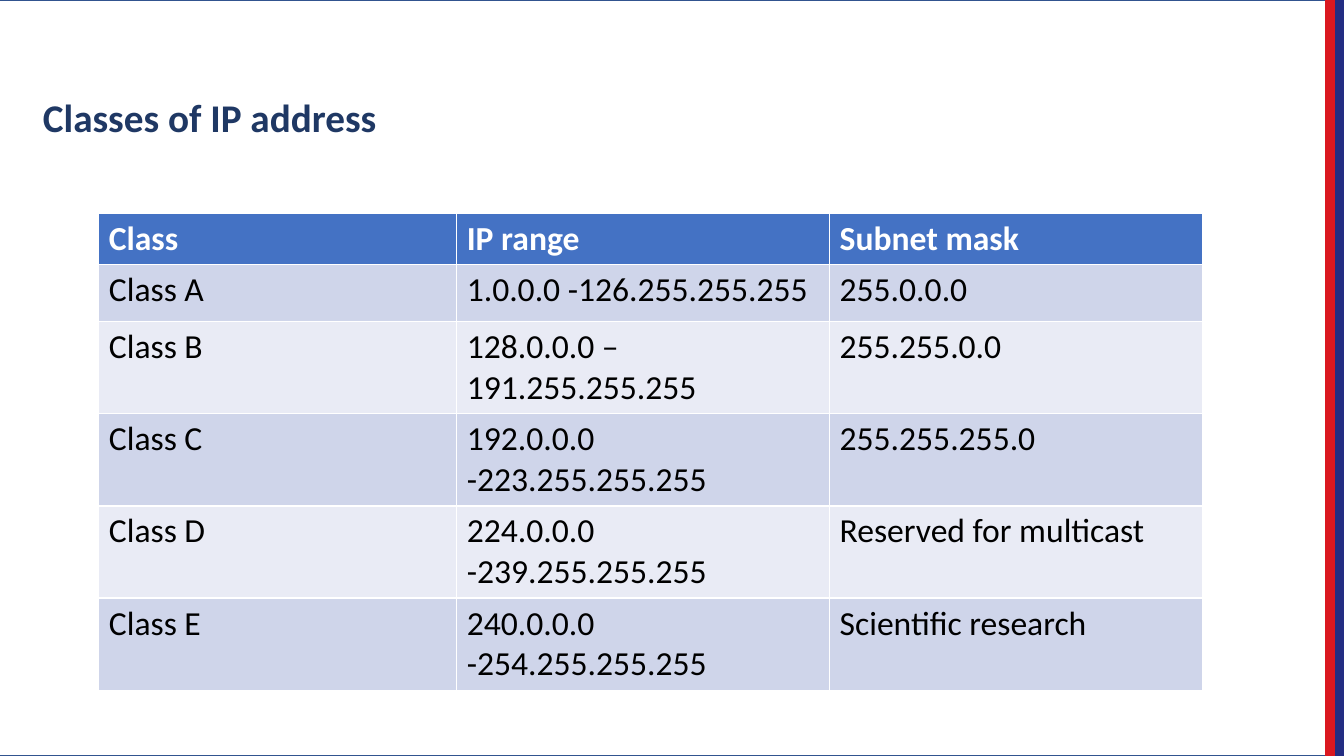
"""Build the slide that lists the classes of IP address."""
import pptx
import pptx.dml.color
import pptx.enum.shapes
import pptx.enum.text
import pptx.util

RGBColor = pptx.dml.color.RGBColor
WHITE = RGBColor(0xFF, 0xFF, 0xFF)
BLACK = RGBColor(0, 0, 0)
NAVY = RGBColor(0x1F, 0x38, 0x64)
OUTLINE = RGBColor(0x31, 0x53, 0x8F)
STRIPE_BLUE = RGBColor(0x23, 0x2D, 0x82)
STRIPE_RED = RGBColor(0xDA, 0x18, 0x20)
HEADER = RGBColor(0x44, 0x72, 0xC4)
BANDS = (RGBColor(0xE9, 0xEB, 0xF5), RGBColor(0xCF, 0xD5, 0xEA))

STRIPE = 0.68
COLUMNS = (26.63, 27.75, 27.75)
ROWS = (6.5, 7.6, 12, 12, 12, 12)
CLASSES = (
    ("Class", "IP range", "Subnet mask"),
    ("Class A", "1.0.0.0 -126.255.255.255", "255.0.0.0"),
    ("Class B", "128.0.0.0 – 191.255.255.255", "255.255.0.0"),
    ("Class C", "192.0.0.0 -223.255.255.255", "255.255.255.0"),
    ("Class D", "224.0.0.0 -239.255.255.255", "Reserved for multicast"),
    ("Class E", "240.0.0.0 -254.255.255.255", "Scientific research"),
)


class Deck:
    """Hold the style and current slide, with lengths in percent of its size."""

    def __init__(self):
        self.prs = pptx.Presentation()
        self.prs.slide_width = pptx.util.Inches(13.33)
        self.prs.slide_height = pptx.util.Inches(7.5)
        self.s = self.prs.slides.add_slide(self.prs.slide_layouts[5])

    def x(self, share):
        return int(self.prs.slide_width * share / 100)

    def y(self, share):
        return int(self.prs.slide_height * share / 100)

    def area(self, left, top, width, height):
        return self.x(left), self.y(top), self.x(width), self.y(height)

    def text(self, tf, text, size, color, bold):
        p = tf.paragraphs[0]
        r = p.add_run()
        r.text = text
        style = {"name": "Calibri", "size": pptx.util.Pt(size), "bold": bold}
        for name, value in style.items():
            setattr(r.font, name, value)
        r.font.color.rgb = color
        return p

    def rect(self, box, fill, line):
        kind = pptx.enum.shapes.MSO_SHAPE.RECTANGLE
        sp = self.s.shapes.add_shape(kind, *self.area(*box))
        sp.shadow.inherit = False
        sp.fill.solid()
        sp.fill.fore_color.rgb = fill
        sp.line.color.rgb = line
        sp.line.width = pptx.util.Pt(1)

    def title(self, box, text):
        sp = self.s.shapes.title
        sp.element.getparent().append(sp.element)
        for name, value in zip(("left", "top", "width", "height"), self.area(*box)):
            setattr(sp, name, value)
        tf = sp.text_frame
        form = {
            "margin_left": 0, "margin_top": 0, "margin_right": 0, "margin_bottom": 0,
            "word_wrap": True,
            "vertical_anchor": pptx.enum.text.MSO_ANCHOR.BOTTOM,
            "auto_size": pptx.enum.text.MSO_AUTO_SIZE.NONE,
        }
        for name, value in form.items():
            setattr(tf, name, value)
        p = self.text(tf, text, 28, NAVY, True)
        p.alignment = pptx.enum.text.PP_ALIGN.LEFT

    def table(self, left, top, columns, rows, texts):
        box = self.area(left, top, sum(columns), sum(rows))
        table = self.s.shapes.add_table(len(rows), len(columns), *box).table
        for column, share in zip(table.columns, columns):
            column.width = self.x(share)
        for i, (row, share) in enumerate(zip(table.rows, rows)):
            row.height = self.y(share)
            head = i == 0
            for cell, text in zip(row.cells, texts[i]):
                cell.fill.solid()
                cell.fill.fore_color.rgb = HEADER if head else BANDS[i % 2]
                self.text(cell.text_frame, text, 24, WHITE if head else BLACK, head)


def main():
    deck = Deck()
    deck.rect((-STRIPE, 0, 100 - STRIPE, 100), WHITE, OUTLINE)
    for n, color in enumerate((STRIPE_BLUE, STRIPE_RED), 1):
        deck.rect((100 - n * STRIPE, 0, STRIPE, 100), color, color)
    deck.title((3.2, 12.27, 57.5, 6.27), "Classes of IP address")
    deck.table(7.35, 28.2, COLUMNS, ROWS, CLASSES)
    deck.prs.save("out.pptx")


if __name__ == "__main__":
    main()
